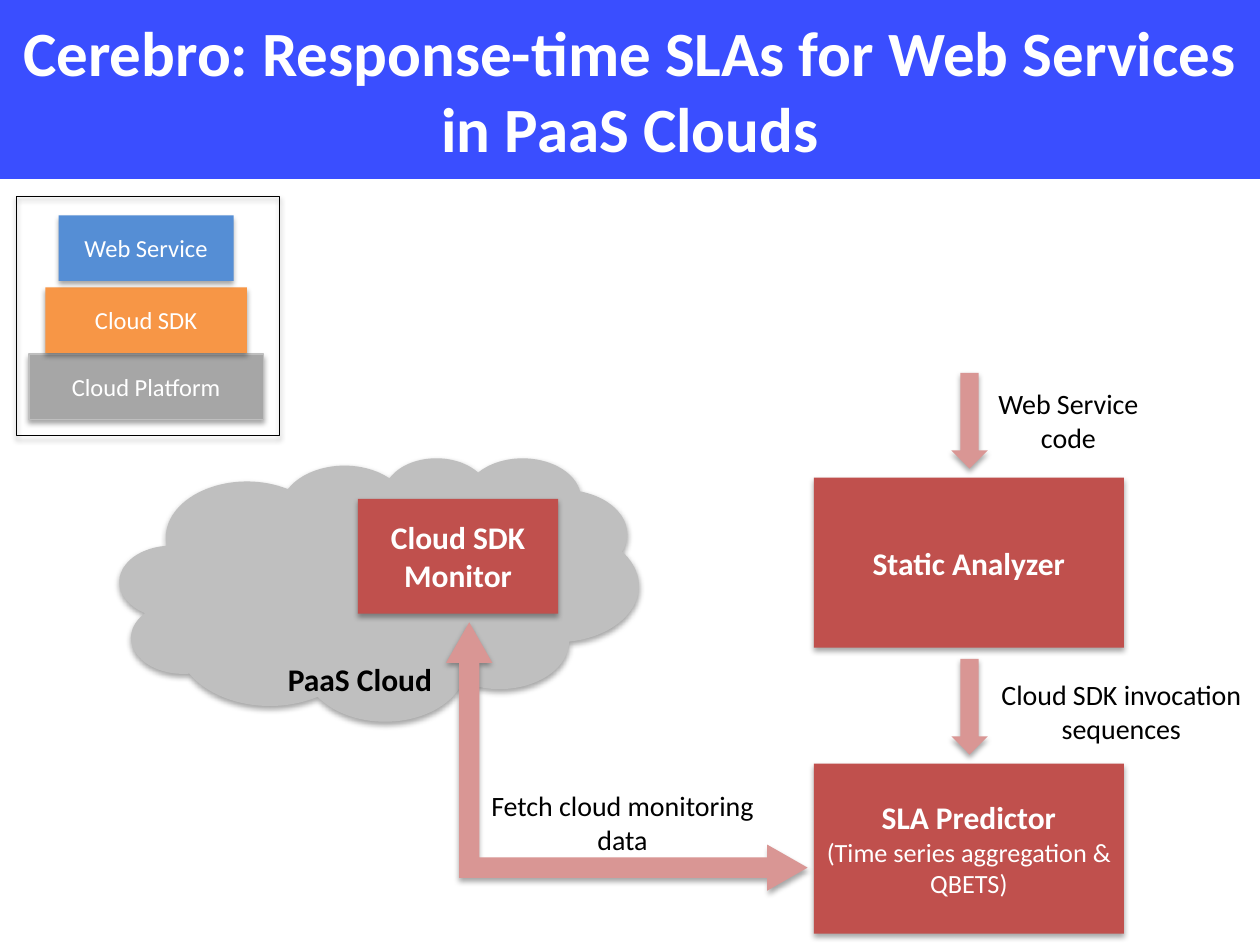
from dataclasses import dataclass
from typing import Optional

from lxml import etree
from pptx import Presentation
from pptx.dml.color import RGBColor
from pptx.enum.shapes import MSO_SHAPE
from pptx.enum.text import MSO_ANCHOR, MSO_AUTO_SIZE, PP_ALIGN
from pptx.oxml.ns import qn
from pptx.util import Pt

RECT = MSO_SHAPE.RECTANGLE
CLOUD = MSO_SHAPE.CLOUD
DOWN = MSO_SHAPE.DOWN_ARROW
ELBOW = MSO_SHAPE.LEFT_UP_ARROW
CENTER = PP_ALIGN.CENTER
MIDDLE = MSO_ANCHOR.MIDDLE
TOP = MSO_ANCHOR.TOP
NO_FIT = MSO_AUTO_SIZE.NONE


@dataclass(frozen=True)
class Theme:
    font: str = "Calibri"
    banner: str = "3A4EFF"
    red: str = "C0504D"
    pink: str = "D99694"
    cloud: str = "BFBFBF"
    gray: str = "A6A6A6"
    orange: str = "F79646"
    blue: str = "558ED5"
    white: str = "FFFFFF"
    black: str = "000000"
    title: float = 36
    head: float = 18
    label: float = 16
    note: float = 15
    small: float = 14


@dataclass(frozen=True)
class Area:
    left: float
    top: float
    width: float
    height: float

    def points(self) -> tuple:
        return Pt(self.left), Pt(self.top), Pt(self.width), Pt(self.height)


@dataclass(frozen=True)
class Line:
    text: str
    size: float
    color: str
    bold: bool = False


@dataclass(frozen=True)
class Block:
    area: Area
    fill: Optional[str]
    lines: tuple = ()
    kind: int = RECT
    edge: Optional[str] = None
    turn: float = 0
    adjust: tuple = ()


@dataclass(frozen=True)
class Label:
    area: Area
    lines: tuple


LOOK = Theme()


def head(text: str) -> Line:
    return Line(text, LOOK.head, LOOK.white, True)


def small(text: str) -> Line:
    return Line(text, LOOK.small, LOOK.white)


def plain(text: str) -> Line:
    return Line(text, LOOK.label, LOOK.black)


LEFT, WIDE, TALL = 465.1, 177.1, 97.2
STEP = 163.4  # from the analyzer down to the predictor
MID = 83.5  # centre line of the stack


def tier(text: str, top: float, width: float, fill: str,
         edge: Optional[str] = None) -> Block:
    area = Area(MID - width / 2, top, width, 37.4)
    return Block(area, fill, (small(text),), edge=edge)


def down(top: float) -> Block:
    return Block(Area(543.6, top, 20.9, 54.7), LOOK.pink, kind=DOWN)


BLOCKS = (
    Block(Area(68.4, 261.4, 296.6, 150.5), LOOK.cloud, kind=CLOUD),
    Block(Area(204.5, 285.1, 114.5, 65.5), LOOK.red,
          (head("Cloud SDK Monitor"),)),
    Block(Area(LEFT, 272.9 + STEP, WIDE, TALL), LOOK.red,
          (head("SLA Predictor"),
           Line("(Time series aggregation & QBETS)", LOOK.note, LOOK.white))),
    Block(Area(LEFT, 272.9, WIDE, TALL), LOOK.red,
          (head("Static Analyzer"),)),
    down(213.1),
    down(213.1 + STEP),
    Block(Area(281.5, 329, 153.4, 206.6), LOOK.pink, kind=ELBOW, turn=90,
          adjust=(0.076, 0.086, 0.151)),
    tier("Cloud Platform", 202.3, 133.9, LOOK.gray, LOOK.cloud),
    tier("Cloud SDK", 164.2, 115.2, LOOK.orange),
    tier("Web Service", 123.1, 100, LOOK.blue),
    Block(Area(9.4, 112.3, 150.5, 136.8), None, edge=LOOK.black),
)

LABELS = (
    Label(Area(145.7, 373.4, 120, 29),
          (Line("PaaS Cloud", LOOK.head, LOOK.black, True),)),
    Label(Area(551.5, 217.4, 118.1, 48.2), (plain("Web Service code"),)),
    Label(Area(561.6, 383.8, 158.4, 40.3),
          (plain("Cloud SDK invocation"), plain("sequences"))),
    Label(Area(270, 447.1, 171.4, 40.3),
          (plain("Fetch cloud monitoring"), plain("data"))),
)


def write(frame, lines: tuple, anchor: int = MIDDLE) -> None:
    frame.word_wrap = True
    frame.auto_size = NO_FIT
    frame.vertical_anchor = anchor
    for index, line in enumerate(lines):
        para = frame.add_paragraph() if index else frame.paragraphs[0]
        para.alignment = CENTER
        run = para.add_run()
        run.text = line.text
        font = run.font
        font.name = LOOK.font
        font.size = Pt(line.size)
        font.bold = line.bold
        font.color.rgb = RGBColor.from_string(line.color)


def paint(fill, color: Optional[str]) -> None:
    if color:
        fill.solid()
        fill.fore_color.rgb = RGBColor.from_string(color)
    else:
        fill.background()


def shade(shape) -> None:
    """Give the shape a soft shadow straight below it."""
    shape.shadow.inherit = False
    effects = shape._element.spPr.find(qn("a:effectLst"))
    outer = etree.SubElement(
        effects, qn("a:outerShdw"), blurRad=str(Pt(3.1)), dist=str(Pt(1.8)),
        dir="5400000", rotWithShape="0")
    color = etree.SubElement(outer, qn("a:srgbClr"), val=LOOK.black)
    etree.SubElement(color, qn("a:alpha"), val="35000")


def draw(slide, block: Block) -> None:
    shape = slide.shapes.add_shape(block.kind, *block.area.points())
    shape.rotation = block.turn
    for index, value in enumerate(block.adjust):
        shape.adjustments[index] = value
    paint(shape.fill, block.fill)
    paint(shape.line.fill, block.edge)
    if block.edge:
        shape.line.width = Pt(0.75)
    shade(shape)
    write(shape.text_frame, block.lines)


def place(slide, label: Label) -> None:
    box = slide.shapes.add_textbox(*label.area.points())
    write(box.text_frame, label.lines, TOP)


def banner(slide) -> None:
    title = slide.shapes.title
    title.left, title.top, title.width, title.height = Area(
        0, 0, 720, 102.2).points()
    paint(title.fill, LOOK.banner)
    text = "Cerebro: Response-time SLAs for Web Services in PaaS Clouds"
    write(title.text_frame, (Line(text, LOOK.title, LOOK.white, True),))


def main() -> None:
    deck = Presentation()
    deck.slide_width, deck.slide_height = Pt(720), Pt(540)
    slide = deck.slides.add_slide(deck.slide_layouts[5])
    banner(slide)
    for block in BLOCKS:
        draw(slide, block)
    for label in LABELS:
        place(slide, label)
    deck.save("out.pptx")


if __name__ == "__main__":
    main()
